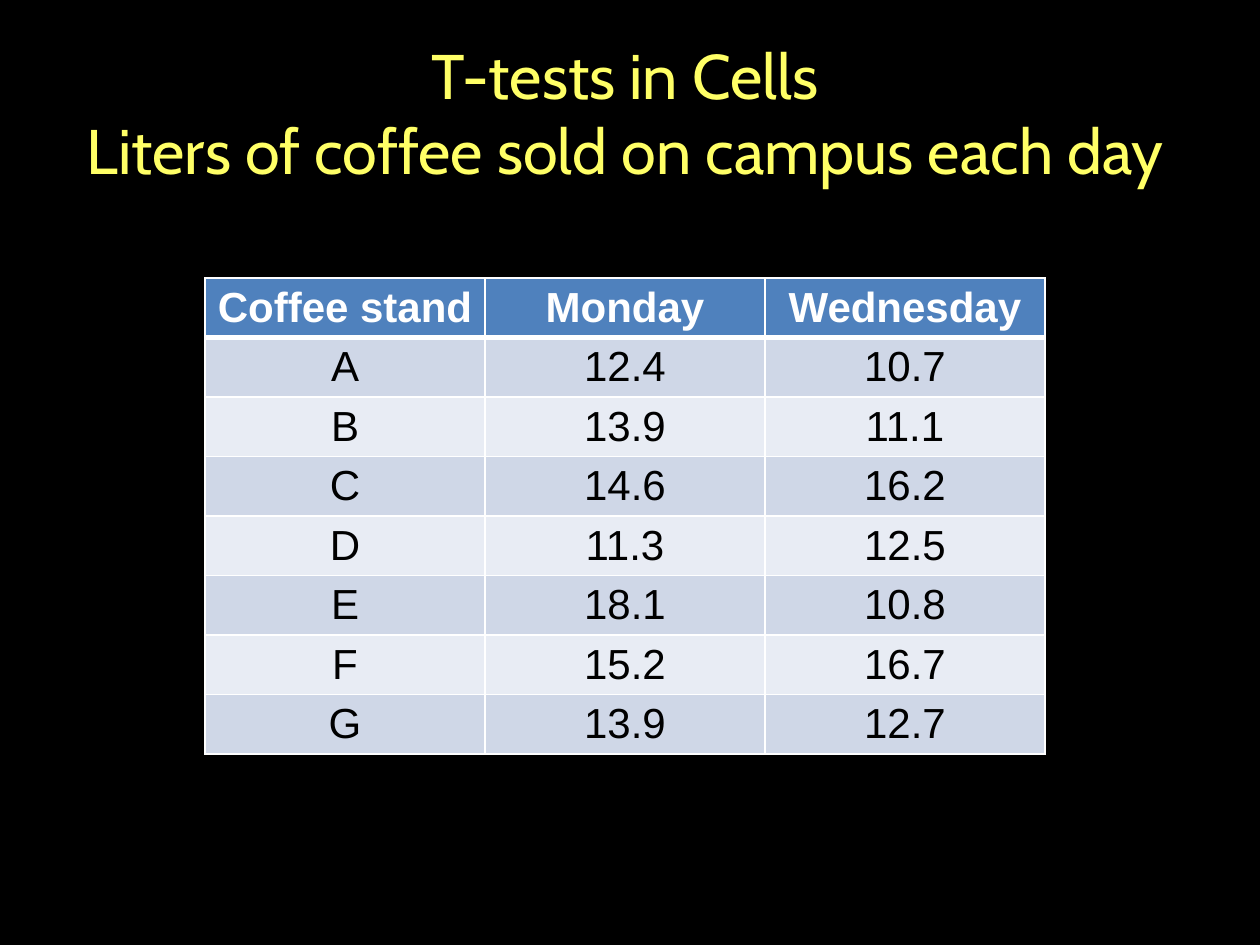
from dataclasses import dataclass

from lxml import etree
from pptx import Presentation
from pptx import util as u
from pptx.dml.color import RGBColor
from pptx.enum import text
from pptx.oxml.ns import qn

PX_PER_INCH = 126


@dataclass(frozen=True)
class Theme:
    background: str = "000000"
    title: str = "FFFF66"
    header_fill: str = "4F81BD"
    header_text: str = "FFFFFF"
    band_fills: tuple = ("CFD7E7", "E8ECF4")
    body_text: str = "000000"
    border: str = "FFFFFF"
    title_font: str = "Cabin"
    table_font: str = "Arial"
    title_size: int = 36
    table_size: int = 24
    border_width: int = 1
    header_rule_width: int = 3


THEME = Theme()

TITLE = "T-tests in Cells\nLiters of coffee sold on campus each day"
HEADER = ("Coffee stand", "Monday", "Wednesday")
SALES = (
    ("A", "12.4", "10.7"),
    ("B", "13.9", "11.1"),
    ("C", "14.6", "16.2"),
    ("D", "11.3", "12.5"),
    ("E", "18.1", "10.8"),
    ("F", "15.2", "16.7"),
    ("G", "13.9", "12.7"),
)


def px(length):
    return u.Inches(length / PX_PER_INCH)


def style_text(text_frame, font_name, size, color, bold=False):
    for paragraph in text_frame.paragraphs:
        paragraph.alignment = text.PP_ALIGN.CENTER
        for run in paragraph.runs:
            run.font.name = font_name
            run.font.size = u.Pt(size)
            run.font.bold = bold
            run.font.color.rgb = RGBColor.from_string(color)


def add_title(slide):
    title = slide.shapes.title
    title.left, title.top, title.width, title.height = map(px, (10, 30, 1230, 97))
    text_frame = title.text_frame
    text_frame.text = TITLE
    text_frame.word_wrap = True
    text_frame.auto_size = text.MSO_AUTO_SIZE.NONE
    text_frame.vertical_anchor = text.MSO_ANCHOR.TOP
    style_text(text_frame, THEME.title_font, THEME.title_size, THEME.title)


def set_borders(cell, widths):
    # Borders come before the fill in the cell properties
    properties = cell._tc.get_or_add_tcPr()
    for position, (side, width) in enumerate(widths.items()):
        line = etree.Element(qn(f"a:ln{side}"), w=str(u.Pt(width)))
        fill = etree.SubElement(line, qn("a:solidFill"))
        etree.SubElement(fill, qn("a:srgbClr"), val=THEME.border)
        properties.insert(position, line)


def add_sales_table(slide, left, top, column_width, row_height):
    rows = (HEADER, *SALES)
    frame = slide.shapes.add_table(
        len(rows), len(HEADER), px(left), px(top),
        px(column_width * len(HEADER)), px(row_height * len(rows)))
    table = frame.table
    for column in table.columns:
        column.width = px(column_width)
    for row in table.rows:
        row.height = px(row_height)

    for row_index, values in enumerate(rows):
        is_header = row_index == 0
        fill = THEME.header_fill if is_header else THEME.band_fills[(row_index - 1) % 2]
        color = THEME.header_text if is_header else THEME.body_text
        widths = dict.fromkeys("LRTB", THEME.border_width)
        # The rule under the header is shared with the first body row
        if is_header:
            widths["B"] = THEME.header_rule_width
        elif row_index == 1:
            widths["T"] = THEME.header_rule_width
        for column_index, value in enumerate(values):
            cell = table.cell(row_index, column_index)
            cell.text_frame.text = value
            style_text(cell.text_frame, THEME.table_font, THEME.table_size, color, is_header)
            cell.fill.solid()
            cell.fill.fore_color.rgb = RGBColor.from_string(fill)
            set_borders(cell, widths)


def main():
    presentation = Presentation()
    presentation.slide_width, presentation.slide_height = px(1260), px(945)
    slide = presentation.slides.add_slide(presentation.slide_layouts[5])

    # Background
    background = slide.background.fill
    background.solid()
    background.fore_color.rgb = RGBColor.from_string(THEME.background)

    # Content
    add_title(slide)
    add_sales_table(slide, left=205, top=278, column_width=280, row_height=52)
    presentation.save("out.pptx")


if __name__ == "__main__":
    main()
